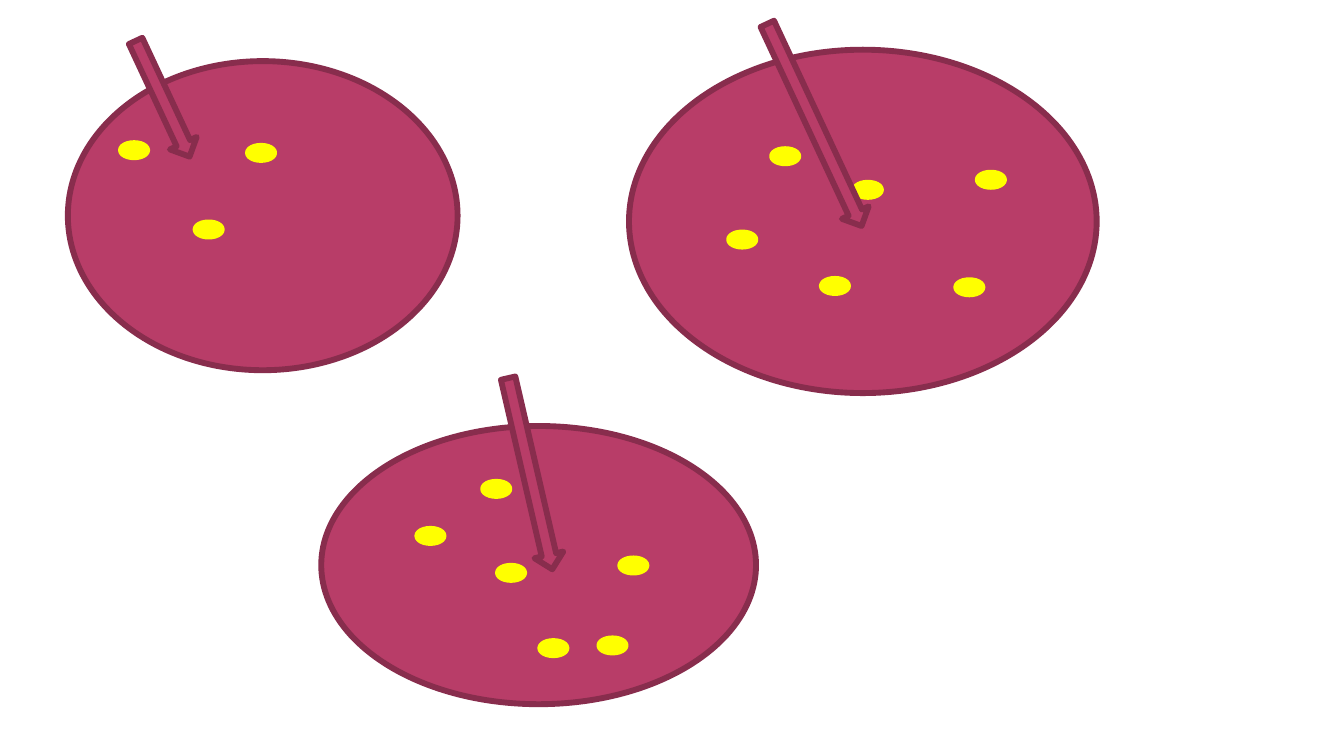
from dataclasses import dataclass

from pptx import Presentation
from pptx.dml.color import RGBColor
from pptx.enum.shapes import MSO_SHAPE
from pptx.util import Emu, Pt

PX = 4572  # EMU per px, 200 px to the inch


@dataclass(frozen=True)
class Theme:
    body: str = "B83D68"
    outline: str = "882D4D"
    dot: str = "FFFF00"
    line_width: float = 3.15


class CellDiagram:
    DOT_SIZE = (39, 21)
    ARROW_HEIGHT = 44

    def __init__(self, slide, theme):
        self.slide = slide
        self.theme = theme

    def _shape(self, kind, left, top, width, height, fill, line):
        box = [Emu(length * PX) for length in (left, top, width, height)]
        shape = self.slide.shapes.add_shape(kind, *box)
        shape.shadow.inherit = False
        shape.fill.solid()
        shape.fill.fore_color.rgb = RGBColor.from_string(fill)
        shape.line.color.rgb = RGBColor.from_string(line)
        shape.line.width = Pt(self.theme.line_width)
        return shape

    def cell(self, left, top, width, height):
        self._shape(MSO_SHAPE.OVAL, left, top, width, height,
                    self.theme.body, self.theme.outline)

    def dot(self, left, top):
        self._shape(MSO_SHAPE.OVAL, left, top, *self.DOT_SIZE,
                    self.theme.dot, self.theme.dot)

    def arrow(self, left, top, length, angle):
        arrow = self._shape(MSO_SHAPE.RIGHT_ARROW, left, top, length,
                            self.ARROW_HEIGHT, self.theme.body,
                            self.theme.outline)
        arrow.rotation = angle


# Each cell: its oval, its yellow dots, and the arrow into it
CELLS = [
    {"oval": (101, 91, 580, 460),
     "dots": [(180, 213), (369, 217), (291, 331)],
     "arrow": (147, 125, 190, 65)},
    {"oval": (936, 74, 696, 511),
     "dots": [(1423, 417), (1272, 272), (1149, 222), (1455, 257),
              (1223, 415), (1085, 346)],
     "arrow": (1046, 164, 332, 65)},
    {"oval": (478, 634, 647, 414),
     "dots": [(741, 842), (923, 831), (804, 954), (892, 950),
              (719, 717), (621, 787)],
     "arrow": (643, 683, 292, 77)},
]


def main():
    prs = Presentation()
    prs.slide_width, prs.slide_height = Emu(2000 * PX), Emu(1125 * PX)
    slide = prs.slides.add_slide(prs.slide_layouts[6])
    diagram = CellDiagram(slide, Theme())

    # Cells at the back, dots over them, arrows in front
    for cell in CELLS:
        diagram.cell(*cell["oval"])
    for cell in CELLS:
        for position in cell["dots"]:
            diagram.dot(*position)
    for cell in CELLS:
        diagram.arrow(*cell["arrow"])

    prs.save("out.pptx")


if __name__ == "__main__":
    main()
